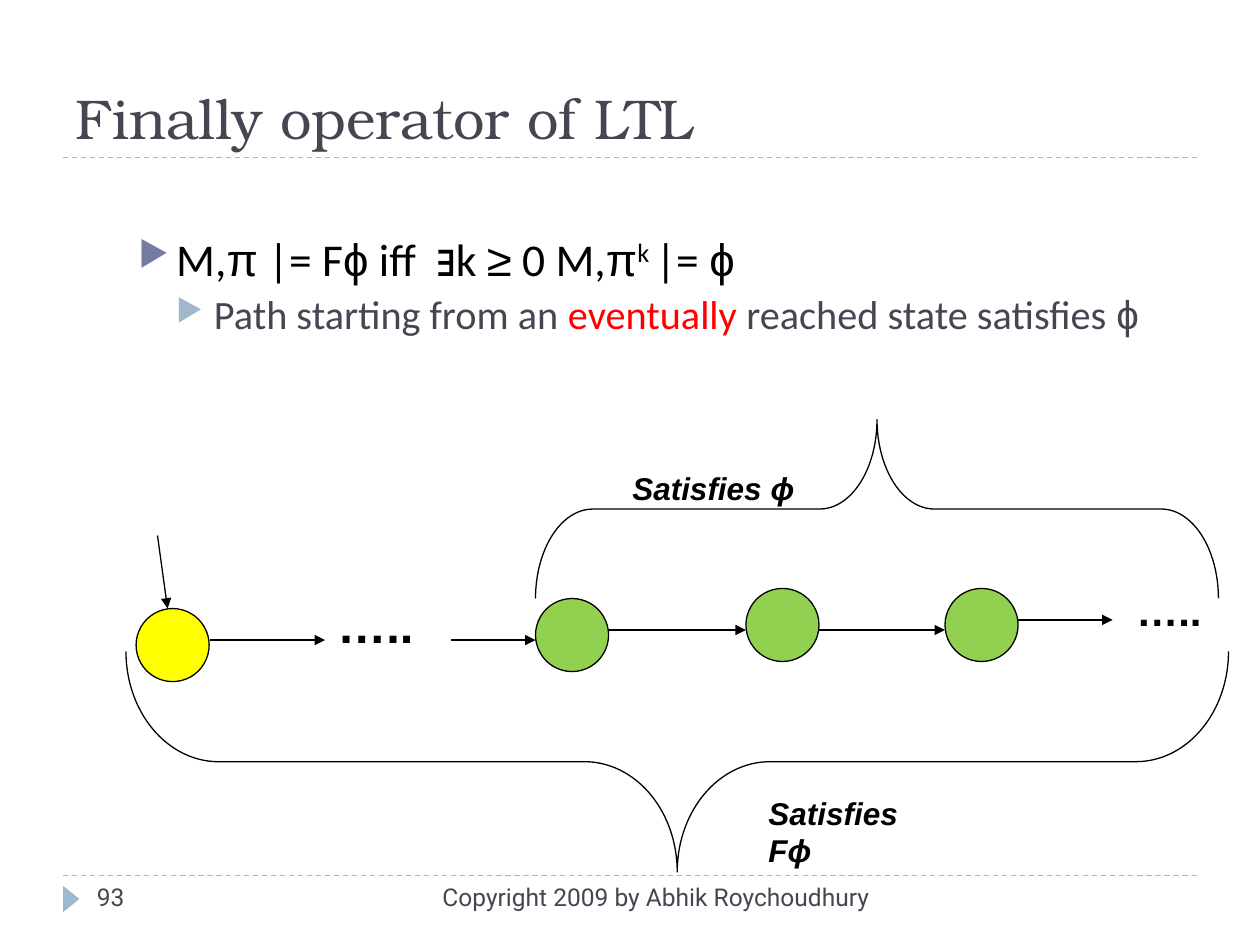
from dataclasses import dataclass

from lxml.etree import SubElement
from pptx import Presentation
from pptx.dml.color import RGBColor
from pptx.enum.dml import MSO_LINE
from pptx.enum.shapes import MSO_CONNECTOR, MSO_SHAPE
from pptx.enum.text import MSO_ANCHOR, MSO_AUTO_SIZE, PP_ALIGN
from pptx.oxml.ns import qn
from pptx.util import Inches, Pt


@dataclass(frozen=True)
class Theme:
    ink: str = "000000"
    slate: str = "464653"
    accent: str = "727CA3"
    pale: str = "9FB8CD"
    alert: str = "FF0000"
    start: str = "FFFF00"
    reached: str = "92D050"
    heading_font: str = "TeX Gyre Bonum"
    body_font: str = "Calibri"
    label_font: str = "Arial"
    footer_font: str = "Roboto"
    title_size: float = 32
    formula_size: float = 26
    detail_size: float = 23
    label_size: float = 18
    footer_size: float = 14
    gap_size: float = 28
    tail_size: float = 24
    stroke: float = 0.75


@dataclass(frozen=True)
class Box:
    left: float
    top: float
    width: float
    height: float

    def point(self, x, y):
        return Inches(self.left + x), Inches(self.top + y)

    def area(self, x, y, width, height):
        return *self.point(x, y), Inches(width), Inches(height)


THEME = Theme()


def rgb(color):
    return RGBColor.from_string(color)


def style(font, name, size, color, bold=None, italic=None):
    font.name, font.size, font.color.rgb = name, Pt(size), rgb(color)
    font.bold, font.italic = bold, italic


def add_line(slide, start, end, color, dashed=False, arrow=False):
    line = slide.shapes.add_connector(MSO_CONNECTOR.STRAIGHT, *start, *end)
    line.line.color.rgb = rgb(color)
    line.line.width = Pt(THEME.stroke)
    if dashed:
        line.line.dash_style = MSO_LINE.DASH
    props = line._element.spPr
    if arrow:
        SubElement(props.get_or_add_ln(), qn("a:tailEnd"), type="triangle")
    SubElement(props, qn("a:effectLst"))


def add_outline(slide, kind, place, fill=None, line=None):
    shape = slide.shapes.add_shape(kind, *place)
    shape.shadow.inherit = False
    if fill:
        shape.fill.solid()
        shape.fill.fore_color.rgb = rgb(fill)
    else:
        shape.fill.background()
    if line:
        shape.line.color.rgb = rgb(line)
        shape.line.width = Pt(THEME.stroke)
    else:
        shape.line.fill.background()
    return shape


def add_label(slide, place, text, font, size, color, bold=None, italic=None,
              align=PP_ALIGN.LEFT):
    frame = slide.shapes.add_textbox(*place).text_frame
    frame.word_wrap = True
    paragraph = frame.paragraphs[0]
    paragraph.text = text
    paragraph.alignment = align
    style(paragraph.font, font, size, color, bold, italic)


def add_bullet(paragraph, color, indent):
    props = paragraph._p.get_or_add_pPr()
    props.set("marL", str(Inches(indent)))
    props.set("indent", str(Inches(-0.3)))
    SubElement(SubElement(props, qn("a:buClr")), qn("a:srgbClr"), val=color)
    SubElement(props, qn("a:buSzPct"), val="76000")
    SubElement(props, qn("a:buChar"), char="▶")


def add_header(slide, box):
    title = slide.shapes.title
    title.left, title.top, title.width, title.height = box.area(0, 0, box.width, box.height)
    frame = title.text_frame
    frame.auto_size = MSO_AUTO_SIZE.NONE
    frame.vertical_anchor = MSO_ANCHOR.BOTTOM
    heading = frame.paragraphs[0]
    heading.text = "Finally operator of LTL"
    heading.alignment = PP_ALIGN.LEFT
    style(heading.font, THEME.heading_font, THEME.title_size, THEME.slate)
    add_line(slide, box.point(0, box.height), box.point(box.width, box.height),
             THEME.pale, dashed=True)


def add_footer(slide, box):
    add_line(slide, box.point(0, 0), box.point(box.width, 0), THEME.pale, dashed=True)
    marker = add_outline(slide, MSO_SHAPE.ISOSCELES_TRIANGLE,
                         box.area(-0.04, 0.12, 0.21, 0.13), fill=THEME.pale)
    marker.rotation = 90
    look = THEME.footer_font, THEME.footer_size, THEME.slate
    add_label(slide, box.area(0.17, 0, 2.17, box.height), "93", *look)
    add_label(slide, box.area(2.67, 0, 3.83, box.height),
              "Copyright 2009 by Abhik Roychoudhury", *look, align=PP_ALIGN.RIGHT)


def add_definition(slide, box):
    frame = slide.shapes.add_textbox(*box.area(0, 0, box.width, box.height)).text_frame
    frame.word_wrap = True
    formula, detail = frame.paragraphs[0], frame.add_paragraph()
    detail.level = 1
    detail.space_before = Pt(5)
    rows = (
        (formula, THEME.accent, 0.3, THEME.formula_size, THEME.ink,
         ("M,", "π", " |= F", "ϕ", " iff  ", "∃", "k ", "≥", " 0 M,", "π", "^k ", "|= ", "ϕ")),
        (detail, THEME.pale, 0.6, THEME.detail_size, THEME.slate,
         ("Path starting from an ", "eventually", " reached state satisfies ", "ϕ")),
    )
    for paragraph, bullet_color, indent, size, color, pieces in rows:
        paragraph.line_spacing = 0.9
        add_bullet(paragraph, bullet_color, indent)
        style(paragraph.font, THEME.body_font, size, color)
        for piece in pieces:
            run = paragraph.add_run()
            run.text = piece.removeprefix("^")
            if piece in "πϕ∃≥":
                run.font.name = THEME.label_font
            elif piece.startswith("^"):
                run._r.get_or_add_rPr().set("baseline", "30000")
            elif piece == "eventually":
                run.font.color.rgb = rgb(THEME.alert)


def add_state_path(slide, box):
    states = ((0.08, 1.5, THEME.start), (3.25, 1.42, THEME.reached),
              (4.92, 1.34, THEME.reached), (6.5, 1.34, THEME.reached))
    for x, y, fill in states:
        add_outline(slide, MSO_SHAPE.OVAL, box.area(x, y, 0.58, 0.58), fill, THEME.ink)

    transitions = ((0.25, 0.92, 0.33, 1.5), (0.67, 1.75, 1.58, 1.75),
                   (2.58, 1.75, 3.25, 1.75), (3.83, 1.67, 4.92, 1.67),
                   (5.5, 1.67, 6.5, 1.67), (7.08, 1.59, 7.83, 1.59))
    for x1, y1, x2, y2 in transitions:
        add_line(slide, box.point(x1, y1), box.point(x2, y2), THEME.ink, arrow=True)

    braces = ((5.25, -2, 1.42, 5.42, 90, 0.32), (3.5, -1.66, 1.75, 8.75, 270, 0.42))
    for x, y, width, height, rotation, curl in braces:
        brace = add_outline(slide, MSO_SHAPE.LEFT_BRACE, box.area(x, y, width, height),
                            line=THEME.ink)
        brace.rotation = rotation
        brace.adjustments[0] = curl

    labels = ((1.58, 1.34, 1.67, 0.57, "…..", THEME.gap_size, None),
              (7.92, 1.26, 0.72, 0.5, "…..", THEME.tail_size, None),
              (3.92, 0.34, 3, 0.4, "Satisfies ϕ", THEME.label_size, True),
              (5, 2.92, 1.6, 0.4, "Satisfies Fϕ", THEME.label_size, True))
    for x, y, width, height, text, size, italic in labels:
        add_label(slide, box.area(x, y, width, height), text, THEME.label_font, size,
                  THEME.ink, bold=True, italic=italic)


def main():
    deck = Presentation()
    deck.slide_width, deck.slide_height = Inches(10), Inches(7.5)
    slide = deck.slides.add_slide(deck.slide_layouts[5])
    add_header(slide, Box(0.5, 0.17, 9, 1.08))
    add_footer(slide, Box(0.5, 6.95, 9, 0.4))
    add_definition(slide, Box(1, 1.83, 8.5, 1))
    add_state_path(slide, Box(1, 3.33, 8.75, 3.59))
    deck.save("out.pptx")


if __name__ == "__main__":
    main()
